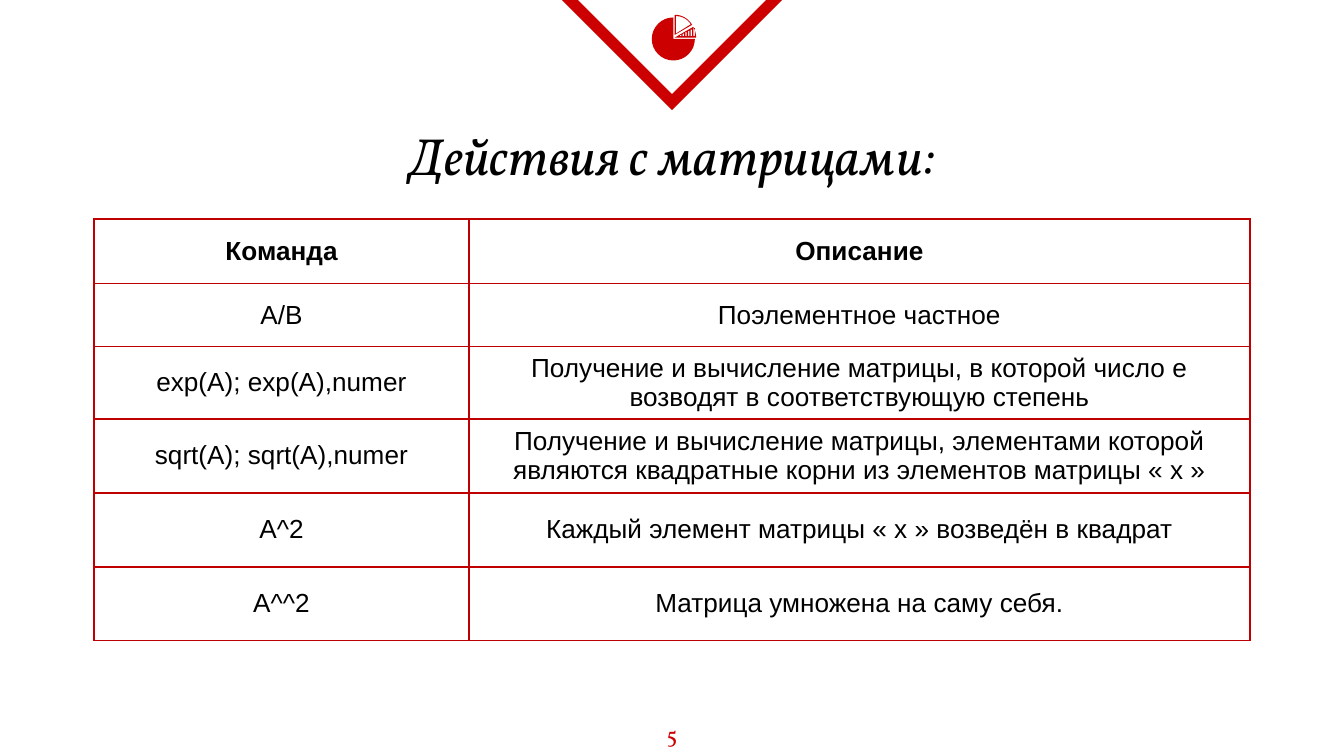
import math
from lxml import etree
from pptx import Presentation
from pptx import util as u
from pptx.dml.color import RGBColor
from pptx.enum import shapes, text
from pptx.oxml import ns

# Content
TITLE = "Действия с матрицами:"
PAGE_NUMBER = "5"
COMMANDS = [
    ("Команда", "Описание"),
    ("A/B", "Поэлементное частное"),
    ("exp(A); exp(A),numer",
     "Получение и вычисление матрицы, в которой число e возводят в соответствующую степень"),
    ("sqrt(A); sqrt(A),numer",
     "Получение и вычисление матрицы, элементами которой являются квадратные корни "
     "из элементов матрицы « x »"),
    ("A^2", "Каждый элемент матрицы « х » возведён в квадрат"),
    ("A^^2", "Матрица умножена на саму себя."),
]

# Style and grid, in inches
RED = RGBColor(0xCC, 0x00, 0x00)
BORDER = RGBColor(0xC0, 0x00, 0x00)
BLACK = RGBColor(0, 0, 0)
SERIF, SANS = "Vollkorn", "Arial"
WIDTH = 10
HEIGHT = WIDTH * 9 / 16
MARGIN = 0.7
COLUMNS = [2.79, 5.81]
ROWS = [0.48, 0.47, 0.47, 0.55, 0.55, 0.55]


def inches(*values):
    return [u.Inches(value) for value in values]


def write(frame, words, font, size, color, bold=False, italic=False):
    para = frame.paragraphs[0]
    para.alignment = text.PP_ALIGN.CENTER
    span = para.add_run()
    span.text = words
    span.font.name, span.font.size = font, u.Pt(size)
    span.font.bold, span.font.italic = bold, italic
    span.font.color.rgb = color


def set_frame(frame):
    frame.word_wrap = True
    frame.auto_size = text.MSO_AUTO_SIZE.NONE
    frame.vertical_anchor = text.MSO_ANCHOR.TOP
    frame.margin_left = frame.margin_right = u.Inches(0.1)
    frame.margin_top = frame.margin_bottom = u.Inches(0.1)


def arc(x, y, radius, start, end, steps=24):
    """Points on a circle, angles in degrees counted from the right, upwards."""
    angles = [math.radians(start + (end - start) * i / steps) for i in range(steps + 1)]
    return [(x + radius * math.cos(a), y - radius * math.sin(a)) for a in angles]


def add_outline(page, contours):
    """One red shape; contours after the first are holes."""
    contours = [[inches(*point) for point in contour] for contour in contours]
    builder = page.shapes.build_freeform(*contours[0][0], scale=1.0)
    for number, contour in enumerate(contours):
        if number:
            builder.move_to(*contour[0])
        builder.add_line_segments(contour[1:], close=True)
    shape = builder.convert_to_shape()
    shape.shadow.inherit = False
    shape.fill.solid()
    shape.fill.fore_color.rgb = RED
    shape.line.fill.background()


def add_borders(cell):
    properties = cell._tc.get_or_add_tcPr()
    for side in ("lnL", "lnR", "lnT", "lnB"):
        line = etree.SubElement(properties, ns.qn("a:" + side), w=str(u.Pt(1)))
        fill = etree.SubElement(line, ns.qn("a:solidFill"))
        etree.SubElement(fill, ns.qn("a:srgbClr"), val=str(BORDER))


deck = Presentation()
deck.slide_width, deck.slide_height = inches(WIDTH, HEIGHT)
page = deck.slides.add_slide(deck.slide_layouts[5])

# Triangle hanging from the top edge
triangle = page.shapes.add_shape(
    shapes.MSO_SHAPE.ISOSCELES_TRIANGLE, *inches(4.18, -0.06, 1.64, 0.82))
triangle.rotation = 180
triangle.shadow.inherit = False
triangle.fill.background()
triangle.line.color.rgb = RED
triangle.line.width = u.Pt(6)
etree.SubElement(triangle.line._get_or_add_ln(), ns.qn("a:miter"), lim="800000")

# Pie icon: three quarters, a striped slice and an open slice
add_outline(page, [[(5.01, 0.29)] + arc(5.01, 0.29, 0.16, 90, 360)])
stripes = []
for i in range(6):
    x = 5.06 + 0.02 * i
    top = 0.26 - 0.01 * i
    stripes.append([(x, top), (x + 0.01, top), (x + 0.01, 0.27), (x, 0.27)])
add_outline(page, [[(5.02, 0.28)] + arc(5.02, 0.28, 0.16, 30, 0)] + stripes)
add_outline(page, [[(5.02, 0.26)] + arc(5.02, 0.26, 0.15, 90, 30),
                   [(5.03, 0.25)] + arc(5.03, 0.25, 0.13, 90, 32)])

# Title
title = page.shapes.title
title.left, title.top, title.width, title.height = inches(
    MARGIN, 0.82, WIDTH - 2 * MARGIN, 0.59)
set_frame(title.text_frame)
write(title.text_frame, TITLE, SERIF, 28, BLACK, italic=True)

# Page number
number_box = page.shapes.add_textbox(*inches(0, HEIGHT - 0.36, WIDTH, 0.36))
set_frame(number_box.text_frame)
write(number_box.text_frame, PAGE_NUMBER, SERIF, 12, RED)

# Table of commands
table = page.shapes.add_table(
    len(ROWS), len(COLUMNS), *inches(MARGIN, 1.63, sum(COLUMNS), sum(ROWS))).table
table.first_row = table.horz_banding = False
for column, width in zip(table.columns, COLUMNS):
    column.width = u.Inches(width)
for r, (row, height) in enumerate(zip(table.rows, ROWS)):
    row.height = u.Inches(height)
    for cell, words in zip(row.cells, COMMANDS[r]):
        add_borders(cell)
        cell.fill.background()
        cell.vertical_anchor = text.MSO_ANCHOR.MIDDLE
        write(cell.text_frame, words, SANS, 14, BLACK, bold=r == 0)

deck.save("out.pptx")
